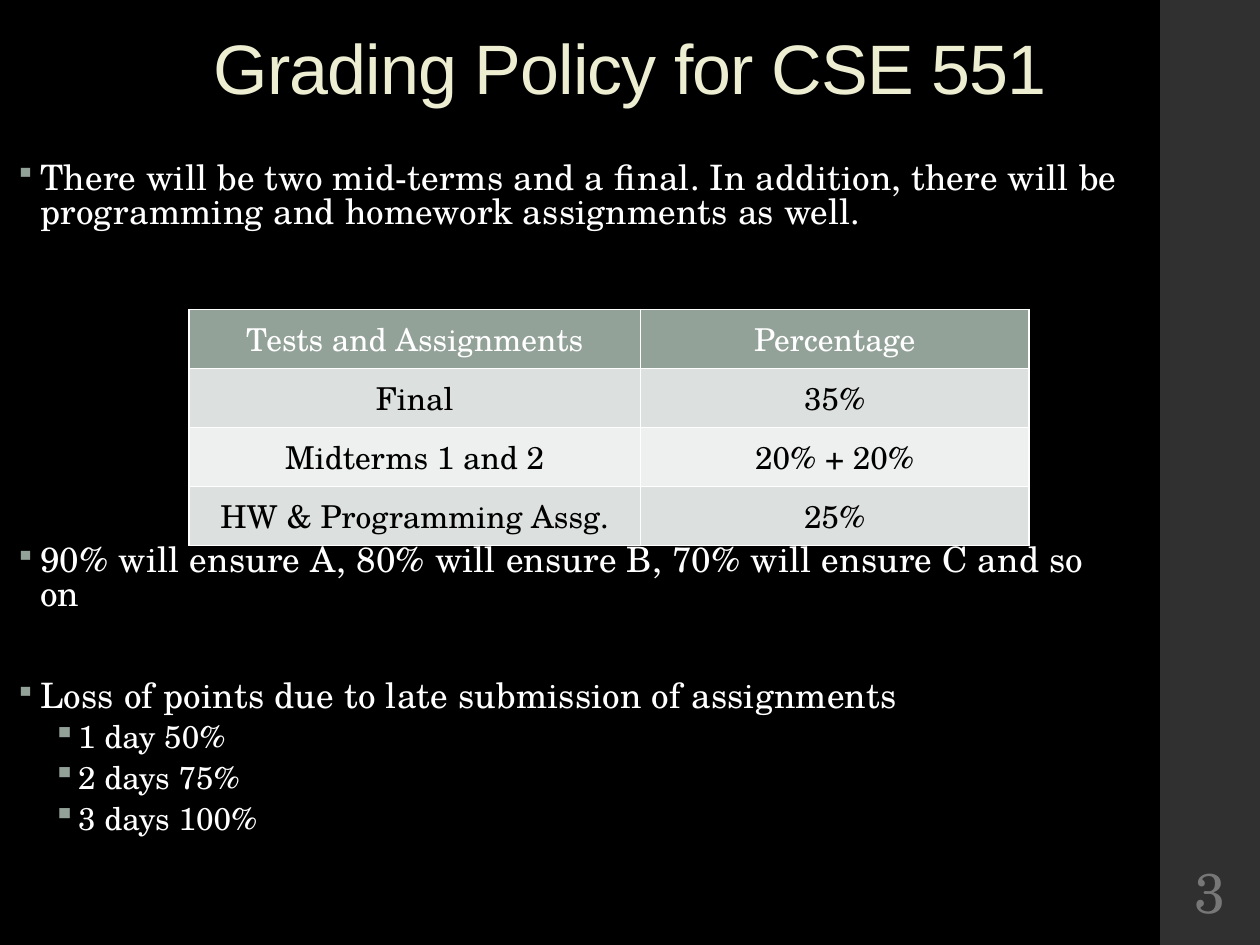
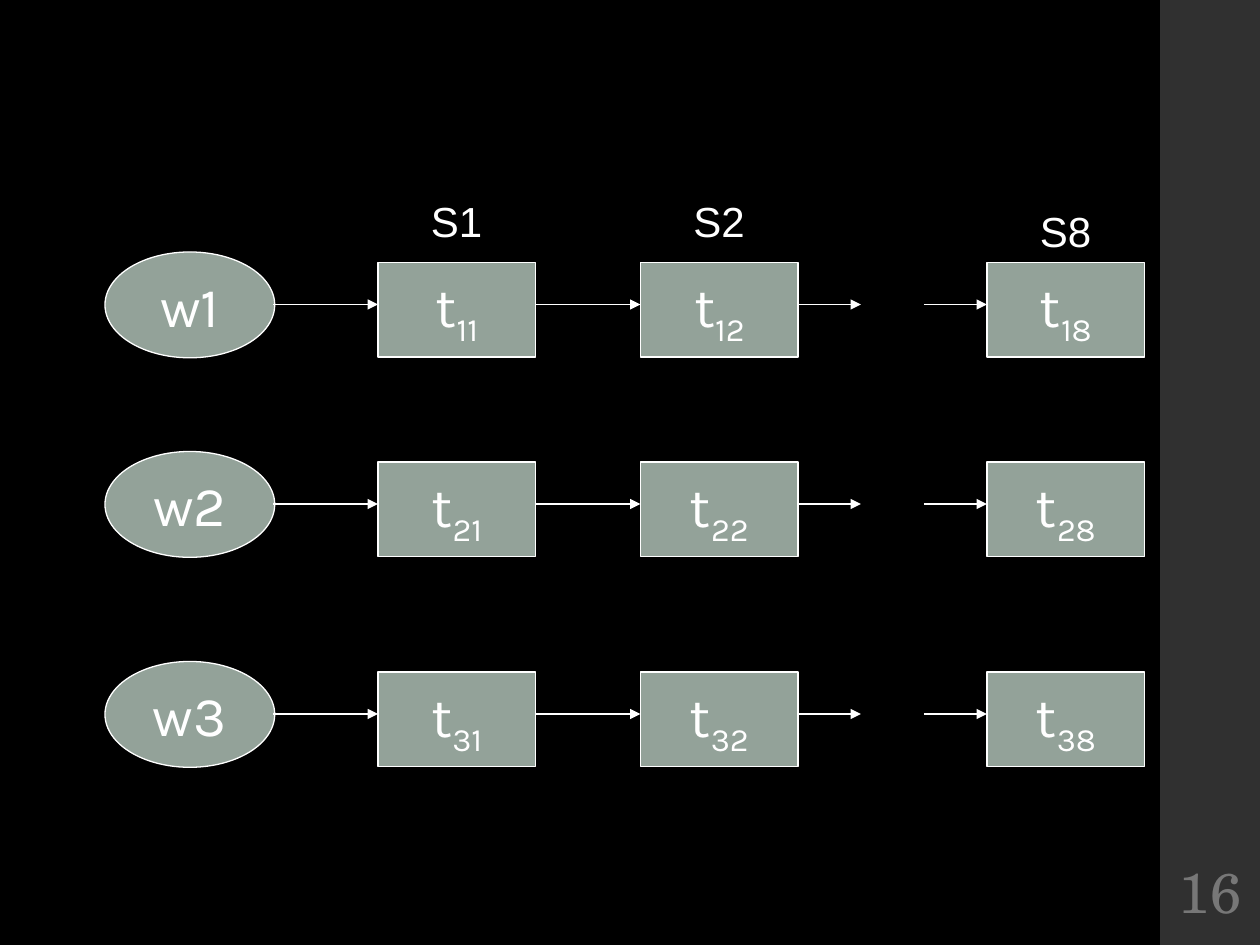
from lxml import etree
from pptx import Presentation
from pptx.dml.color import RGBColor
from pptx.enum import shapes, text
from pptx.oxml.ns import qn
from pptx.util import Pt

BLACK, WHITE, SAGE = "000000", "FFFFFF", "93A299"
BAND, NUMBER, CREAM = "303030", "777777", "ECEDD1"
ROW_FILLS = ["DCE0DE", "EEF0EF"]
SERIF, SANS, LABEL = "TeX Gyre Schola", "Arial", "Karla"
WIDTH, HEIGHT = 720, 540
BAND_LEFT = 663


def rgb(value):
    return RGBColor.from_string(value)


def paint(fill, value):
    fill.solid()
    fill.fore_color.rgb = rgb(value)


def style(paragraph, face, size, value, spacing=0):
    for run in paragraph.runs:
        run.font.name, run.font.size = face, Pt(size)
        run.font.color.rgb = rgb(value)
        if spacing:
            run.font._element.set("spc", str(round(spacing * 100)))


def child(parent, tag, **attributes):
    return etree.SubElement(parent, qn(tag), attributes)


def add_text(slide, left, top, width, height):
    frame = slide.shapes.add_textbox(Pt(left), Pt(top), Pt(width), Pt(height)).text_frame
    frame.word_wrap = True
    return frame


def add_block(slide, kind, left, top, width, height, fill, line=None):
    block = slide.shapes.add_shape(kind, Pt(left), Pt(top), Pt(width), Pt(height))
    block.shadow.inherit = False
    paint(block.fill, fill)
    if line:
        block.line.color.rgb, block.line.width = rgb(line), Pt(0.75)
    else:
        block.line.fill.background()
    return block


# Shared parts: side band, slide number, title
def add_slide(prs, layout, number):
    slide = prs.slides.add_slide(prs.slide_layouts[layout])
    add_block(slide, shapes.MSO_SHAPE.RECTANGLE, BAND_LEFT, 0, WIDTH - BAND_LEFT, HEIGHT, BAND)
    page = add_text(slide, 664.5, 486, 54, 46.8)
    page.margin_left = page.margin_right = Pt(2)
    page.vertical_anchor = text.MSO_ANCHOR.MIDDLE
    page.text = str(number)
    page.paragraphs[0].alignment = text.PP_ALIGN.CENTER
    style(page.paragraphs[0], SERIF, 32, NUMBER)
    return slide


def set_title(slide, wording):
    title = slide.shapes.title
    title.left, title.top, title.width, title.height = Pt(36), Pt(12.2), Pt(648), Pt(54)
    frame = title.text_frame
    frame.text = wording
    frame.auto_size = text.MSO_AUTO_SIZE.NONE
    frame.vertical_anchor = text.MSO_ANCHOR.BOTTOM
    heading = frame.paragraphs[0]
    heading.alignment, heading.line_spacing = text.PP_ALIGN.CENTER, 0.9
    style(heading, SANS, 40, CREAM, -0.5)


# Grading policy
def add_bullets(slide, left, top, width, height, items):
    """Each item is (level, space before, wording)."""
    frame = add_text(slide, left, top, width, height)
    frame.text = "\n".join(wording for _, _, wording in items)
    for paragraph, (level, before, _) in zip(frame.paragraphs, items):
        paragraph.level = level
        paragraph.line_spacing = 0.8
        paragraph.space_before = Pt(before)
        paragraph.space_after = Pt(3 if level else 2)
        style(paragraph, SERIF, 18 if level else 20, WHITE, 0 if level else 0.1)
        properties = paragraph._p.get_or_add_pPr()
        properties.set("marL", str(Pt(36 if level else 14.4)))
        properties.set("indent", str(Pt(-14.4)))
        child(child(properties, "a:buClr"), "a:srgbClr", val=SAGE)
        child(properties, "a:buSzPct", val="100000" if level else "80000")
        child(properties, "a:buChar", char="▪")


def add_borders(cell, value, width):
    properties = cell._tc.get_or_add_tcPr()
    for side in ("a:lnL", "a:lnR", "a:lnT", "a:lnB"):
        line = child(properties, side, w=str(Pt(width)))
        child(child(line, "a:solidFill"), "a:srgbClr", val=value)


def add_weights(slide, left, top, widths, row_height, rows):
    table = slide.shapes.add_table(len(rows), len(widths), Pt(left), Pt(top),
                                   Pt(sum(widths)), Pt(row_height * len(rows))).table
    for column, width in zip(table.columns, widths):
        column.width = Pt(width)
    for r, row in enumerate(rows):
        table.rows[r].height = Pt(row_height)
        for c, wording in enumerate(row):
            cell = table.cell(r, c)
            cell.text = wording
            cell.vertical_anchor = text.MSO_ANCHOR.MIDDLE
            add_borders(cell, WHITE, 1)
            paint(cell.fill, ROW_FILLS[(r - 1) % 2] if r else SAGE)
            paragraph = cell.text_frame.paragraphs[0]
            paragraph.alignment = text.PP_ALIGN.CENTER
            style(paragraph, SERIF, 18, BLACK if r else WHITE)
            for run in paragraph.runs:
                run.font.bold = False


def build_grading(prs):
    slide = add_slide(prs, 5, 3)
    set_title(slide, "Grading Policy for CSE 551")
    # The second item starts below the table
    add_bullets(slide, 1.5, 90, 652, 474, [
        (0, 0, "There will be two mid-terms and a final. In addition, there will be "
               "programming and homework assignments as well."),
        (0, 178, "90% will ensure A, 80% will ensure B, 70% will ensure C and so on"),
        (0, 37.3, "Loss of points due to late submission of assignments"),
        (1, 3, "1 day 50%"),
        (1, 3, "2 days 75%"),
        (1, 3, "3 days 100%"),
    ])
    add_weights(slide, 108, 177, [258, 222], 33.7, [
        ("Tests and Assignments", "Percentage"),
        ("Final", "35%"),
        ("Midterms 1 and 2", "20% + 20%"),
        ("HW & Programming Assg.", "25%"),
    ])


# Workers and stages
STAGES = {1: 216, 2: 366, 8: 564}  # stage number: left edge
STAGE_WIDTH, STAGE_HEIGHT = 90, 54
WORKER_LEFT, WORKER_WIDTH, WORKER_HEIGHT = 60, 97, 60.5
ARROWS = [(156, 216), (306, 366), (456, 492), (528, 564)]


def add_node(slide, kind, left, top, width, height, letter, index, subscript=False):
    node = add_block(slide, kind, left, top, width, height, SAGE, WHITE)
    frame = node.text_frame
    frame.word_wrap = False
    frame.vertical_anchor = text.MSO_ANCHOR.MIDDLE
    paragraph = frame.paragraphs[0]
    paragraph.alignment = text.PP_ALIGN.CENTER
    if subscript:
        paragraph.add_run().text = letter
        lowered = paragraph.add_run()
        lowered.text = index
        lowered.font._element.set("baseline", "-25000")
    else:
        paragraph.text = letter + index
    style(paragraph, LABEL, 32, WHITE)


def add_arrow(slide, start, end, y):
    arrow = slide.shapes.add_connector(shapes.MSO_CONNECTOR.STRAIGHT,
                                       Pt(start), Pt(y), Pt(end), Pt(y))
    arrow.line.color.rgb, arrow.line.width = rgb(WHITE), Pt(0.75)
    child(arrow.line._get_or_add_ln(), "a:tailEnd", type="triangle")
    child(arrow._element.spPr, "a:effectLst")


def add_worker_row(slide, worker, y):
    add_node(slide, shapes.MSO_SHAPE.OVAL, WORKER_LEFT, y - 30,
             WORKER_WIDTH, WORKER_HEIGHT, "w", str(worker))
    for stage, left in STAGES.items():
        add_node(slide, shapes.MSO_SHAPE.RECTANGLE, left, y - 24,
                 STAGE_WIDTH, STAGE_HEIGHT, "t", f"{worker}{stage}", subscript=True)
    for start, end in ARROWS:
        add_arrow(slide, start, end, y)


def add_stage_label(slide, stage, top):
    label = add_text(slide, STAGES[stage] + 23, top, 44, 36)
    label.word_wrap = False
    label.text = f"S{stage}"
    label.paragraphs[0].alignment = text.PP_ALIGN.CENTER
    style(label.paragraphs[0], SANS, 24, WHITE)


def build_workers(prs):
    slide = add_slide(prs, 6, 16)
    for worker, y in enumerate((174, 288, 408), start=1):
        add_worker_row(slide, worker, y)
    for stage, top in ((1, 108), (2, 108), (8, 114)):
        add_stage_label(slide, stage, top)


def main():
    prs = Presentation()
    prs.slide_width, prs.slide_height = Pt(WIDTH), Pt(HEIGHT)
    paint(prs.slide_master.background.fill, BLACK)
    build_grading(prs)
    build_workers(prs)
    prs.save("out.pptx")


if __name__ == "__main__":
    main()
